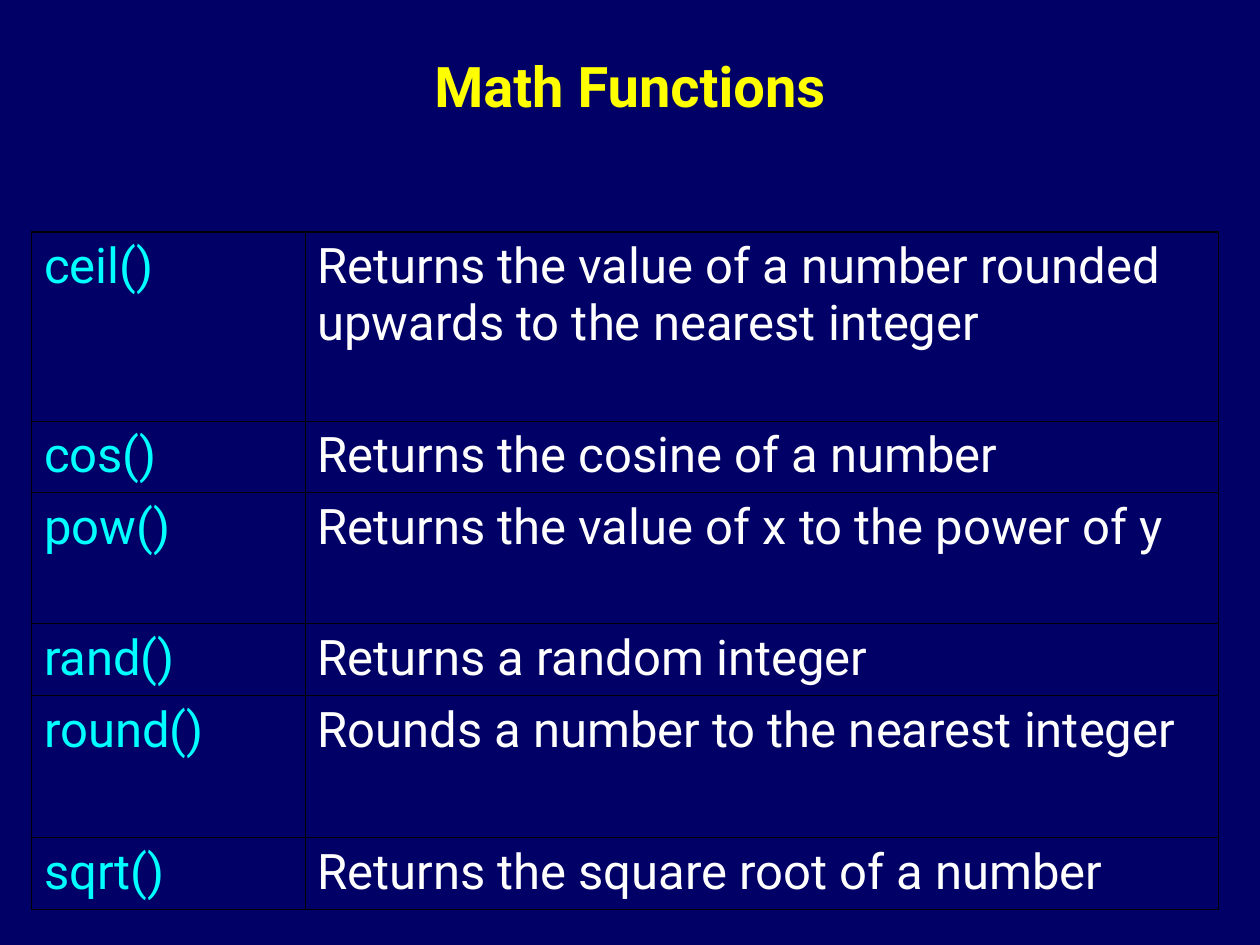
from lxml import etree
from pptx import Presentation
from pptx.dml.color import RGBColor
from pptx.enum.text import MSO_ANCHOR, MSO_AUTO_SIZE, PP_ALIGN
from pptx.oxml.ns import qn
from pptx.util import Inches, Pt

CENTER = PP_ALIGN.CENTER
TOP = MSO_ANCHOR.TOP
NO_AUTOFIT = MSO_AUTO_SIZE.NONE

NAVY = RGBColor(0x00, 0x00, 0x66)
YELLOW = RGBColor(0xFF, 0xFF, 0x00)
CYAN = RGBColor(0x00, 0xFF, 0xFF)
WHITE = RGBColor(0xFF, 0xFF, 0xFF)
BLACK = RGBColor(0x00, 0x00, 0x00)

FONT = "Roboto"
OUTER_LINE = Pt(1.08)
INNER_LINE = Pt(0.45)
TITLE_ONLY = 5

COLUMN_WIDTHS = (2.17, 7.25)
FUNCTIONS = (
    ("ceil()", "Returns the value of a number rounded upwards to the nearest integer", 1.5),
    ("cos()", "Returns the cosine of a number", 0.57),
    ("pow()", "Returns the value of x to the power of y", 1.04),
    ("rand()", "Returns a random integer", 0.57),
    ("round()", "Rounds a number to the nearest integer", 1.13),
    ("sqrt()", "Returns the square root of a number", 0.57),
)


class SlideBuilder:
    def __init__(self, deck):
        self.slide = deck.slides.add_slide(deck.slide_layouts[TITLE_ONLY])
        fill = self.slide.background.fill
        fill.solid()
        fill.fore_color.rgb = NAVY

    def style(self, paragraph, size, color, bold=False):
        font = paragraph.font
        font.name = FONT
        font.size = Pt(size)
        font.bold = bold
        font.color.rgb = color

    def title(self, text, left, top, width, height):
        box = self.slide.shapes.title
        box.left, box.top = Inches(left), Inches(top)
        box.width, box.height = Inches(width), Inches(height)
        frame = box.text_frame
        frame.text = text
        frame.auto_size = NO_AUTOFIT
        frame.vertical_anchor = TOP
        frame.margin_top = Inches(0.08)
        para = frame.paragraphs[0]
        para.alignment = CENTER
        self.style(para, 32, YELLOW, bold=True)

    def borders(self, cell, outer_sides):
        """Draw all four cell borders, heavier on the sides of the table's edge."""
        properties = cell._tc.get_or_add_tcPr()
        for index, side in enumerate("LRTB"):
            width = OUTER_LINE if side in outer_sides else INNER_LINE
            line = etree.Element(qn(f"a:ln{side}"), w=str(width))
            fill = etree.SubElement(line, qn("a:solidFill"))
            etree.SubElement(fill, qn("a:srgbClr"), val=str(BLACK))
            properties.insert(index, line)

    def function_table(self, functions, left, top):
        total_height = sum(height for _, _, height in functions)
        table = self.slide.shapes.add_table(
            len(functions), len(COLUMN_WIDTHS), Inches(left), Inches(top),
            Inches(sum(COLUMN_WIDTHS)), Inches(total_height)).table
        table.first_row = False
        table.horz_banding = False
        for column, width in zip(table.columns, COLUMN_WIDTHS):
            column.width = Inches(width)
        last_row = len(functions) - 1
        for row, (name, meaning, height) in enumerate(functions):
            table.rows[row].height = Inches(height)
            edge = {0: "T", last_row: "B"}.get(row, "")
            for column, (text, color, side) in enumerate(
                    ((name, CYAN, "L"), (meaning, WHITE, "R"))):
                cell = table.cell(row, column)
                cell.text = text
                cell.fill.background()
                self.style(cell.text_frame.paragraphs[0], 28, color)
                self.borders(cell, edge + side)


def main():
    deck = Presentation()
    deck.slide_width, deck.slide_height = Inches(10), Inches(7.5)
    builder = SlideBuilder(deck)
    builder.title("Math Functions", 0.75, 0.33, 8.5, 0.58)
    builder.function_table(FUNCTIONS, 0.25, 1.84)
    deck.save("out.pptx")


if __name__ == "__main__":
    main()
